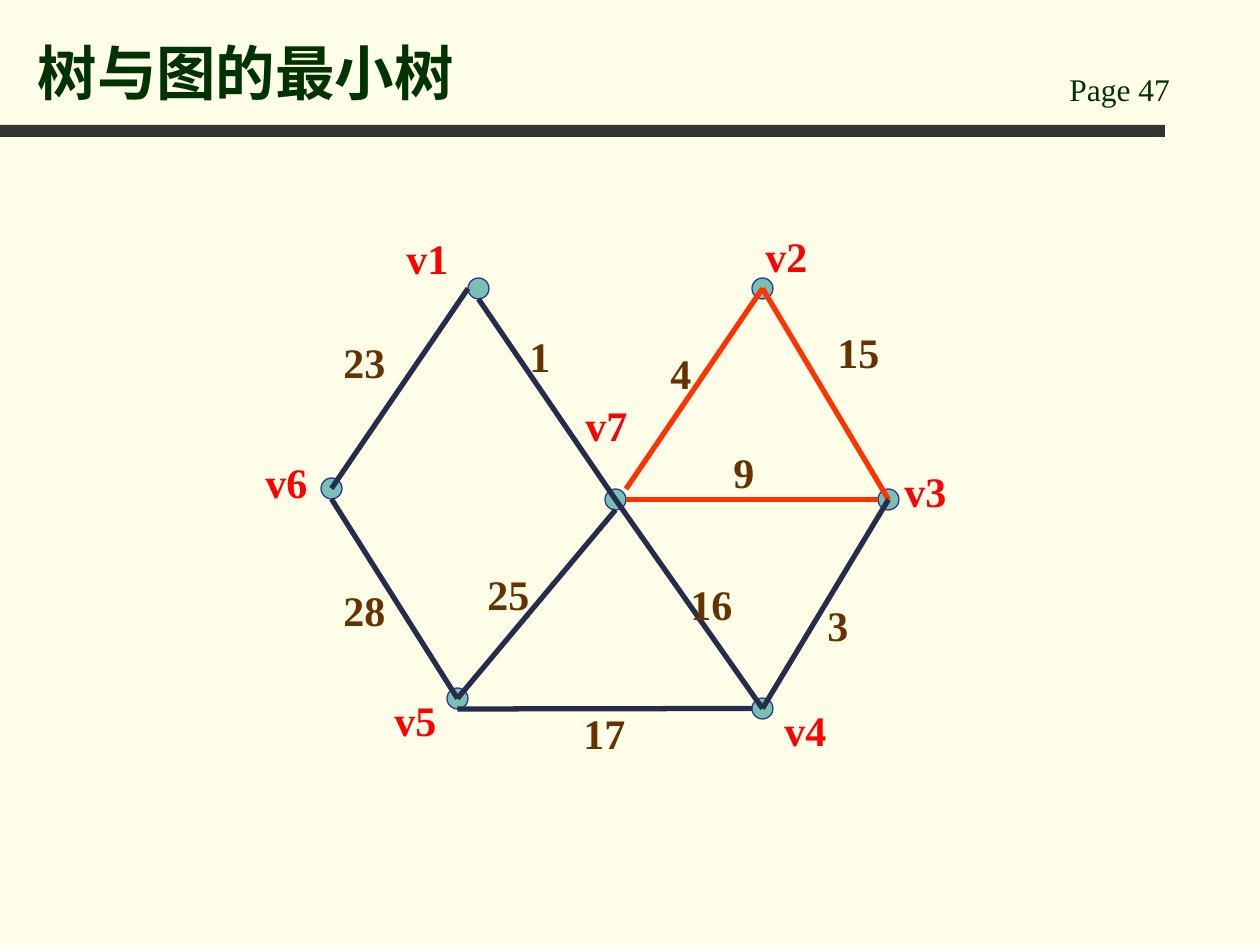
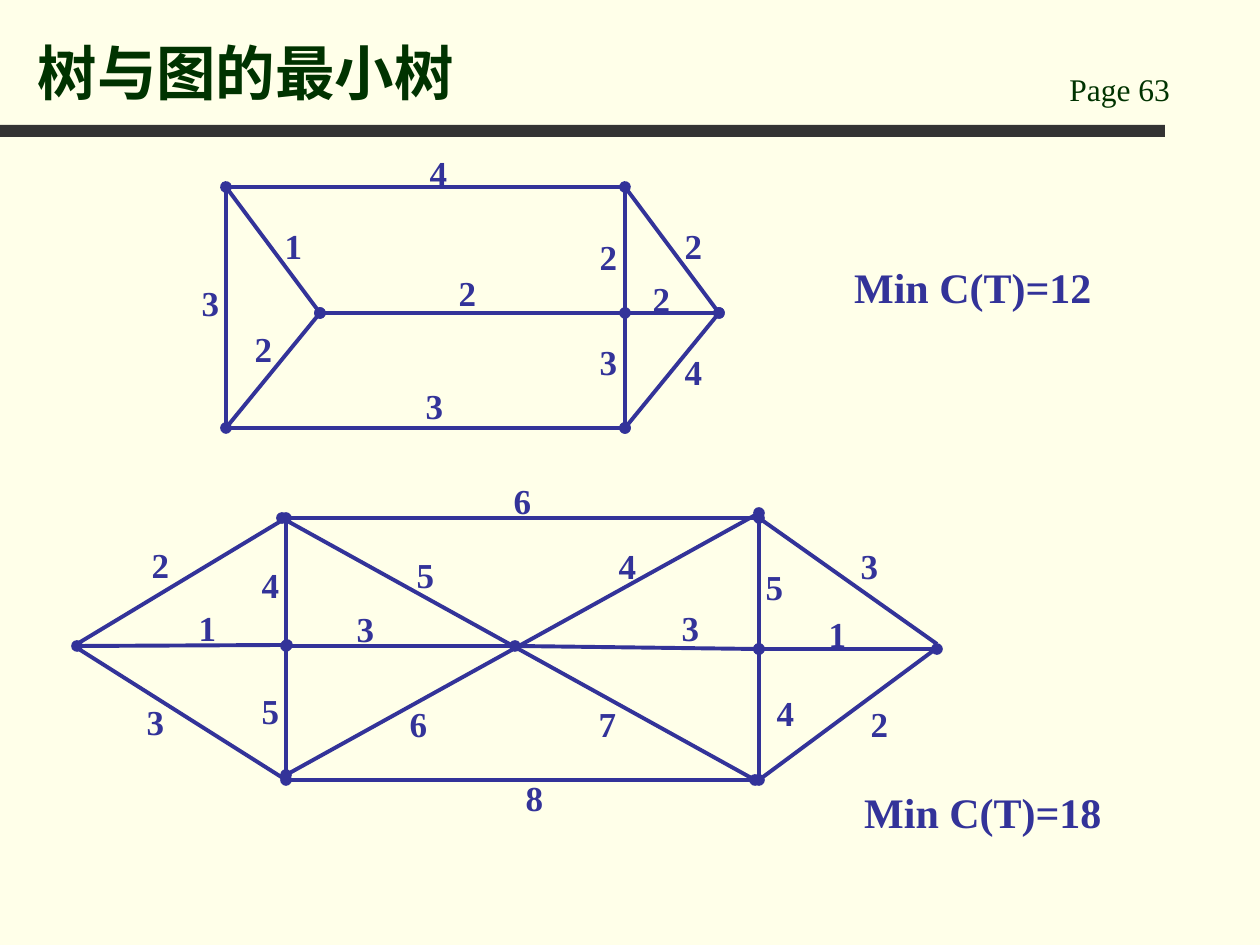
import lxml.etree
import pptx
import pptx.dml.color
import pptx.enum.shapes
import pptx.enum.text
import pptx.oxml.ns
import pptx.util

EMU_PER_PX = 914400 / 126
FONT = "Times New Roman"
TITLE = "树与图的最小树"
COLORS = {
    "background": "FFFFE9", "band": "333333", "heading": "003300",
    "vertex": "78C0B2", "blue": "333399", "edge": "262D4C",
    "cycle": "FF3300", "name": "FF0000", "weight": "663300",
}
ALIGN = pptx.enum.text.PP_ALIGN

# Vertices of the weighted graph: left and top of each dot
DOT = 21
VERTICES = {
    "v7": (605, 489), "v4": (752, 698), "v5": (447, 688), "v2": (752, 278),
    "v3": (878, 489), "v6": (321, 478), "v1": (468, 278),
}
# Places on a dot, as fractions of its width and height
SPOTS = {
    "center": (0.5, 0.5), "left": (0, 0.5), "right": (1, 0.5),
    "bottom": (0.5, 1), "top right": (1, 0),
}
VERTEX_EDGES = [
    ("v1", "left", "v6", "center", "edge"),
    ("v2", "center", "v3", "center", "cycle"),
    ("v1", "bottom", "v7", "center", "edge"),
    ("v2", "center", "v7", "top right", "cycle"),
    ("v7", "right", "v3", "left", "cycle"),
    ("v6", "bottom", "v5", "center", "edge"),
    ("v7", "bottom", "v5", "center", "edge"),
    ("v7", "center", "v4", "center", "edge"),
    ("v5", "bottom", "v4", "left", "edge"),
    ("v3", "center", "v4", "center", "edge"),
]
VERTEX_NAMES = [
    ("v1", 394, 226), ("v7", 573, 393), ("v4", 772, 698), ("v3", 892, 459),
    ("v2", 753, 224), ("v5", 382, 688), ("v6", 253, 450),
]
VERTEX_WEIGHTS = [
    ("15", 825, 320), ("9", 721, 440), ("16", 678, 572), ("25", 475, 562),
    ("3", 815, 593), ("28", 331, 578), ("17", 571, 701), ("4", 658, 341),
    ("1", 517, 324), ("23", 331, 330),
]

# Upper exercise graph: corners, edges with their dotted ends, weights
TOP_LEFT, BOTTOM_LEFT, INNER = (226, 187), (226, 428), (320, 313)
TOP_RIGHT, BOTTOM_RIGHT = (625, 187), (625, 428)
JUNCTION, TIP = (625, 313), (719, 313)
BOTH = ("headEnd", "tailEnd")
HEAD = ("headEnd",)
UPPER_EDGES = [
    (TOP_LEFT, TOP_RIGHT, ()), (BOTTOM_LEFT, BOTTOM_RIGHT, BOTH),
    (TOP_LEFT, BOTTOM_LEFT, ()), (TOP_RIGHT, BOTTOM_RIGHT, ()),
    (TOP_RIGHT, TIP, BOTH), (BOTTOM_RIGHT, TIP, BOTH),
    (TOP_LEFT, INNER, BOTH), (BOTTOM_LEFT, INNER, ()),
    (INNER, JUNCTION, BOTH), (JUNCTION, TIP, ()),
]
UPPER_WEIGHTS = [
    ("3", 184, 275), ("4", 412, 145), ("1", 267, 218), ("2", 237, 321),
    ("2", 441, 265), ("3", 408, 378), ("2", 582, 229), ("3", 582, 334),
    ("2", 667, 218), ("4", 667, 344), ("2", 635, 271),
]

# Lower exercise graph
LOWER_EDGES = [
    ((77, 644), (286, 518), ()), ((74, 646), (286, 780), ()),
    ((286, 518), (286, 780), BOTH), ((286, 518), (759, 518), ()),
    ((286, 780), (759, 780), ()), ((759, 518), (759, 780), BOTH),
    ((77, 646), (287, 645), BOTH), ((286, 775), (759, 513), BOTH),
    ((282, 518), (755, 780), BOTH), ((286, 646), (528, 646), HEAD),
    ((515, 646), (759, 649), BOTH), ((759, 518), (937, 644), ()),
    ((759, 649), (937, 649), BOTH), ((759, 780), (937, 648), ()),
]
LOWER_WEIGHTS = [
    ("2", 134, 537), ("1", 181, 600), ("3", 129, 694), ("6", 496, 473),
    ("3", 664, 600), ("8", 508, 770), ("5", 399, 547), ("3", 339, 601),
    ("4", 244, 557), ("5", 244, 683), ("6", 392, 696), ("7", 581, 696),
    ("4", 601, 538), ("5", 748, 559), ("4", 759, 685), ("3", 843, 538),
    ("2", 853, 696), ("1", 811, 606),
]


def px(*lengths):
    return [pptx.util.Emu(round(length * EMU_PER_PX)) for length in lengths]


def rgb(name):
    return pptx.dml.color.RGBColor.from_string(COLORS[name])


def add_xml(parent, tag, **attributes):
    return lxml.etree.SubElement(parent, pptx.oxml.ns.qn(tag), attributes)


def format_paragraph(paragraph, size, color, bold=True, align=ALIGN.LEFT):
    paragraph.alignment = align
    font = paragraph.font
    font.name, font.size, font.bold = FONT, pptx.util.Pt(size), bold
    font.color.rgb = rgb(color)


def add_text(slide, text, box, size, color, bold=True, align=ALIGN.LEFT, spaced=True):
    frame = slide.shapes.add_textbox(*px(*box)).text_frame
    frame.word_wrap = True
    frame.auto_size = pptx.enum.text.MSO_AUTO_SIZE.SHAPE_TO_FIT_TEXT
    paragraph = frame.paragraphs[0]
    paragraph.text = text
    if spaced:  # half a line before the paragraph
        spacing = add_xml(paragraph._p.get_or_add_pPr(), "a:spcBef")
        add_xml(spacing, "a:spcPct", val="50000")
    format_paragraph(paragraph, size, color, bold, align)


def add_labels(slide, labels, width, height, size, color, align=ALIGN.LEFT):
    for text, left, top in labels:
        add_text(slide, text, (left, top, width, height), size, color, align=align)


def add_filled_shape(slide, kind, box, fill, line=None):
    shape = slide.shapes.add_shape(kind, *px(*box))
    shape.shadow.inherit = False
    shape.fill.solid()
    shape.fill.fore_color.rgb = rgb(fill)
    if line:
        shape.line.color.rgb = rgb(line)
        shape.line.width = pptx.util.Pt(0.75)
    else:
        shape.line.fill.background()


def add_edge(slide, start, end, color, width, dotted_ends=()):
    connector = slide.shapes.add_connector(
        pptx.enum.shapes.MSO_CONNECTOR.STRAIGHT, *px(*start, *end))
    connector.line.color.rgb = rgb(color)
    connector.line.width = pptx.util.Pt(width)
    for dotted_end in dotted_ends:
        add_xml(connector.line._get_or_add_ln(), "a:" + dotted_end, type="oval")
    add_xml(connector._element.spPr, "a:effectLst")


def add_page(presentation, number):
    """Slide with the shared band, page number and title."""
    slide = presentation.slides.add_slide(presentation.slide_layouts[5])
    add_filled_shape(slide, pptx.enum.shapes.MSO_SHAPE.RECTANGLE,
                     (0, 125, 1165, 12), "band")
    add_text(slide, f"Page {number}", (1057, 64, 179, 50), 18, "heading",
             bold=False, spaced=False)
    title = slide.shapes.title
    title.left, title.top, title.width, title.height = px(25, 16, 1012, 98)
    frame = title.text_frame
    frame.text = TITLE
    frame.auto_size = pptx.enum.text.MSO_AUTO_SIZE.NONE
    frame.vertical_anchor = pptx.enum.text.MSO_ANCHOR.BOTTOM
    format_paragraph(frame.paragraphs[0], 34, "heading")
    return slide


def spot_on_vertex(vertex, spot):
    return [corner + DOT * part
            for corner, part in zip(VERTICES[vertex], SPOTS[spot])]


def add_vertex_graph(slide):
    for corner in VERTICES.values():
        add_filled_shape(slide, pptx.enum.shapes.MSO_SHAPE.OVAL,
                         (*corner, DOT, DOT), "vertex", "blue")
    for first, first_spot, second, second_spot, color in VERTEX_EDGES:
        add_edge(slide, spot_on_vertex(first, first_spot),
                 spot_on_vertex(second, second_spot), color, 3)
    add_labels(slide, VERTEX_NAMES, 73, 63, 24, "name")
    add_labels(slide, VERTEX_WEIGHTS, 73, 63, 24, "weight")


def add_exercise_graph(slide, edges, weights, result):
    for start, end, dotted_ends in edges:
        add_edge(slide, start, end, "blue", 2.25, dotted_ends)
    add_labels(slide, weights, 53, 54, 20, "blue", ALIGN.CENTER)
    add_labels(slide, [result], 368, 63, 24, "blue", ALIGN.CENTER)


def main():
    presentation = pptx.Presentation()
    presentation.slide_width, presentation.slide_height = px(1260, 945)
    background = presentation.slide_master.background.fill
    background.solid()
    background.fore_color.rgb = rgb("background")

    # Graph with one cycle marked
    add_vertex_graph(add_page(presentation, 47))

    # Two exercise graphs with their minimum costs
    exercises = add_page(presentation, 63)
    add_exercise_graph(exercises, UPPER_EDGES, UPPER_WEIGHTS,
                       ("Min C(T)=12", 789, 255))
    add_exercise_graph(exercises, LOWER_EDGES, LOWER_WEIGHTS,
                       ("Min C(T)=18", 799, 780))

    presentation.save("out.pptx")


if __name__ == "__main__":
    main()
